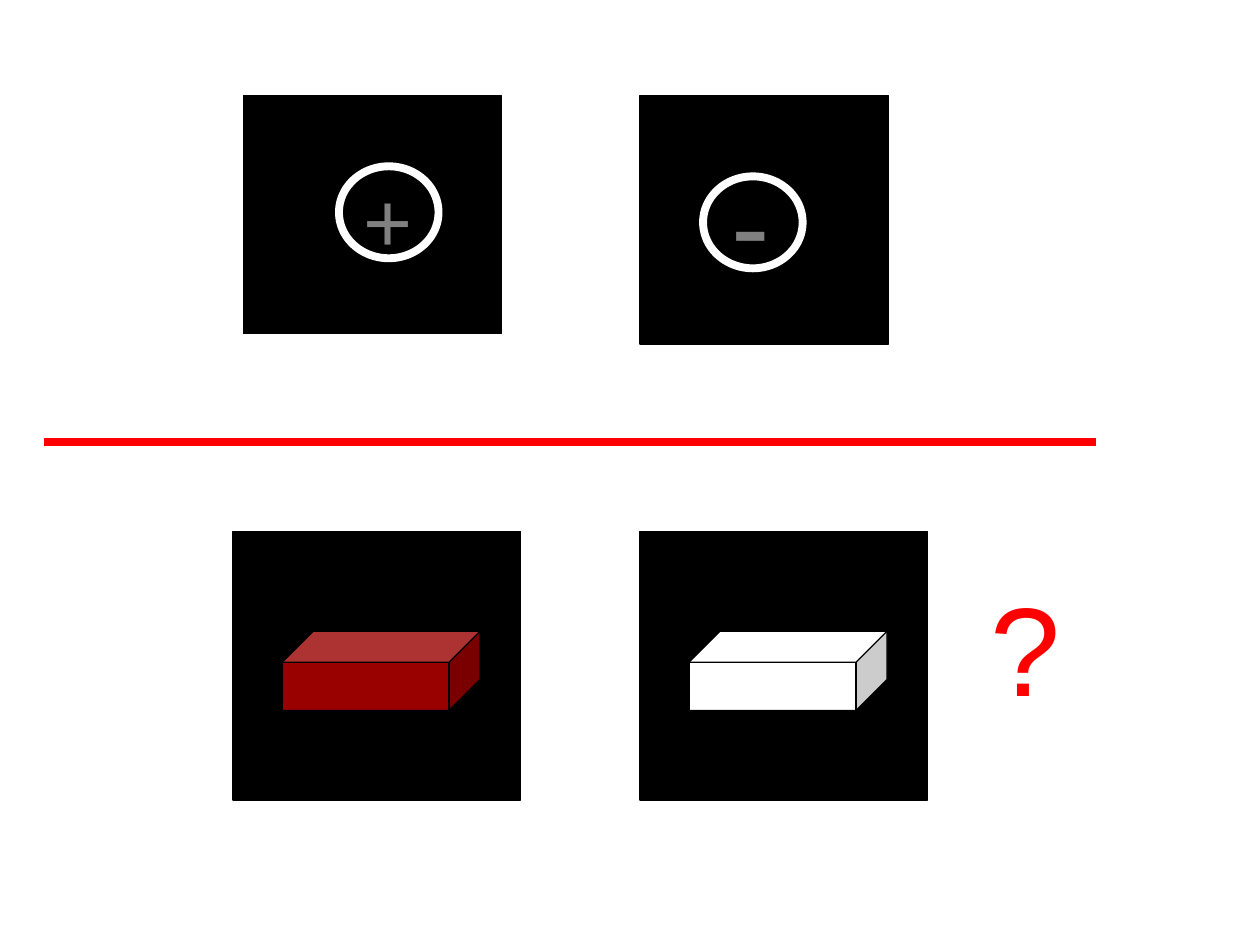
from dataclasses import dataclass

import pptx
import pptx.dml.color
import pptx.enum.shapes
import pptx.enum.text
import pptx.util
from lxml import etree
from pptx.oxml.ns import qn

SCALE = 9144  # EMU in one px, 100 px to the inch
HUES = {"black": "000000", "white": "FFFFFF", "grey": "808080",
        "brick": "990000", "red": "FF0000"}
KINDS = pptx.enum.shapes.MSO_SHAPE


@dataclass
class Box:
    left: int
    top: int
    width: int
    height: int


@dataclass
class Sign:
    text: str
    box: Box
    size: int
    hue: str


@dataclass
class Panel:
    """A black card with one figure on it and perhaps a sign."""
    card: Box
    kind: KINDS
    figure: Box
    fill: str
    line: str
    weight: float
    sign: Sign | None = None


def ring(card: Box, left: int, top: int, sign: Sign) -> Panel:
    return Panel(card, KINDS.OVAL, Box(left, top, 79, 73),
                 "black", "white", 4.5, sign)


def brick(left: int, fill: str, sign: Sign | None = None) -> Panel:
    return Panel(Box(left, 422, 228, 213), KINDS.CUBE,
                 Box(left + 39, 501, 157, 63), fill, "black", 0.75, sign)


PANELS = [
    ring(Box(193, 76, 205, 189), 269, 132,
         Sign("+", Box(279, 123, 71, 90), 48, "grey")),
    ring(Box(508, 76, 197, 197), 558, 140,
         Sign("-", Box(571, 107, 71, 120), 66, "grey")),
    brick(185, "brick"),
    brick(508, "white", Sign("?", Box(776, 438, 150, 130), 72, "red")),
]


def px(count: int) -> int:
    return pptx.util.Emu(count * SCALE)


def place(box: Box) -> tuple[int, ...]:
    return tuple(px(n) for n in (box.left, box.top, box.width, box.height))


def tint(name: str) -> pptx.dml.color.RGBColor:
    return pptx.dml.color.RGBColor.from_string(HUES[name])


def draw_shape(group, kind: KINDS, box: Box, fill: str, line: str, weight: float):
    shape = group.shapes.add_shape(kind, *place(box))
    shape.shadow.inherit = False
    shape.fill.solid()
    shape.fill.fore_color.rgb = tint(fill)
    shape.line.color.rgb = tint(line)
    shape.line.width = pptx.util.Pt(weight)
    return shape


def draw_sign(group, sign: Sign) -> None:
    frame = group.shapes.add_textbox(*place(sign.box)).text_frame
    frame.word_wrap = True
    frame.auto_size = pptx.enum.text.MSO_AUTO_SIZE.NONE
    frame.margin_top = px(5 + sign.size // 7)
    run = frame.paragraphs[0].add_run()
    run.text = sign.text
    run.font.name = "Arial"
    run.font.size = pptx.util.Pt(sign.size)
    run.font.color.rgb = tint(sign.hue)


def draw_panel(slide, panel: Panel) -> None:
    group = slide.shapes.add_group_shape()
    draw_shape(group, KINDS.RECTANGLE, panel.card, "black", "black", 0.75)
    figure = draw_shape(group, panel.kind, panel.figure,
                        panel.fill, panel.line, panel.weight)
    if panel.kind == KINDS.CUBE:
        figure.adjustments[0] = 0.39
    if panel.sign:
        draw_sign(group, panel.sign)


def draw_rule(slide, left: int, right: int, top: int) -> None:
    rule = slide.shapes.add_connector(
        pptx.enum.shapes.MSO_CONNECTOR.STRAIGHT,
        px(left), px(top), px(right), px(top))
    rule.line.color.rgb = tint("red")
    rule.line.width = pptx.util.Pt(4.5)
    etree.SubElement(rule._element.spPr, qn("a:effectLst"))


def main() -> None:
    deck = pptx.Presentation()
    deck.slide_width, deck.slide_height = px(1000), px(750)
    slide = deck.slides.add_slide(deck.slide_layouts[6])
    for panel in PANELS:
        draw_panel(slide, panel)
    draw_rule(slide, 35, 870, 351)
    deck.save("out.pptx")


if __name__ == "__main__":
    main()
